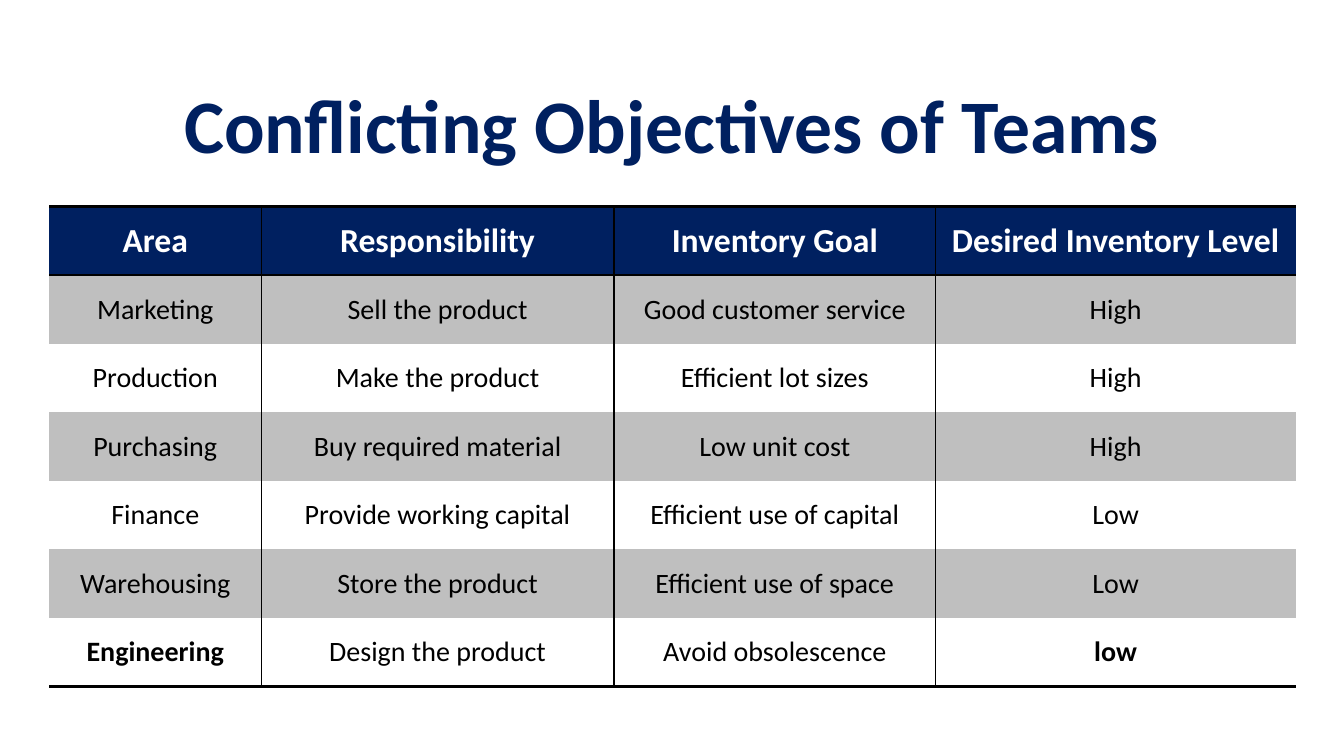
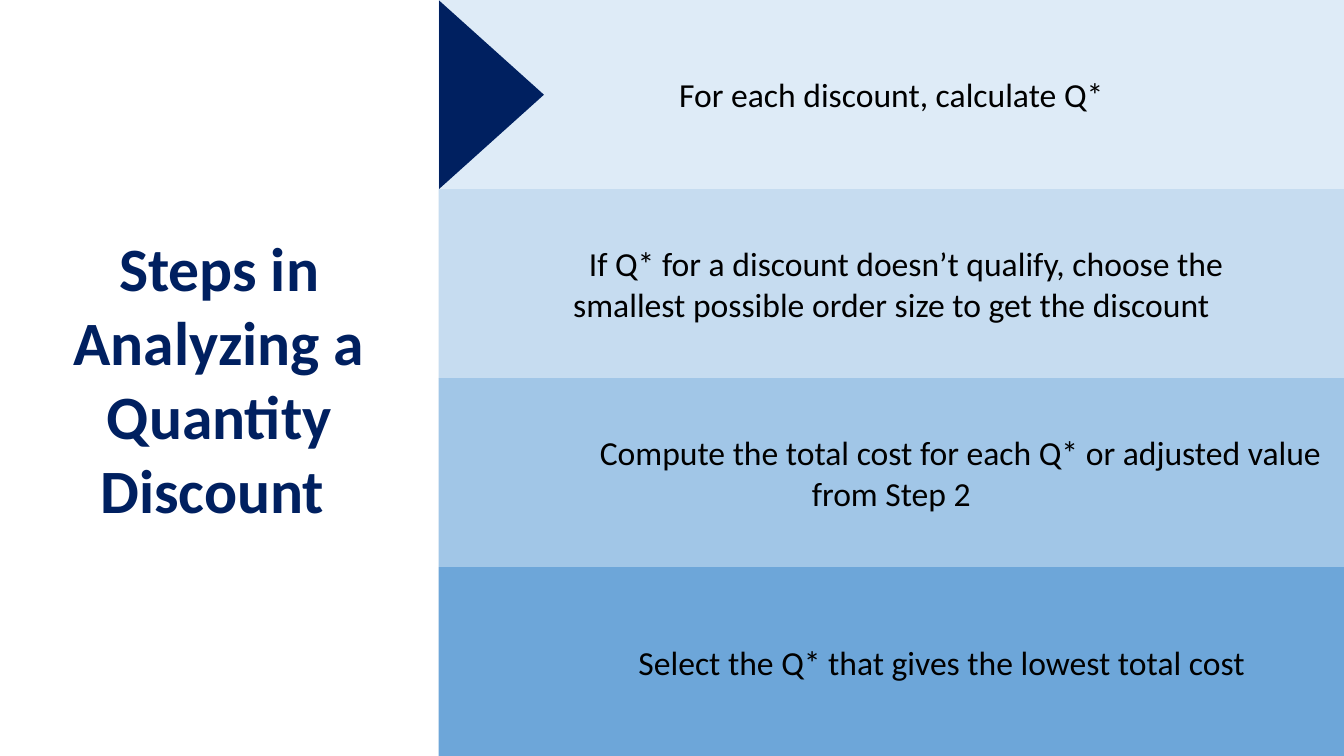
"""Build two slides: conflicting team objectives and quantity discount steps."""
from lxml.etree import SubElement
from pptx import Presentation
from pptx.dml.color import RGBColor
from pptx.enum.shapes import MSO_SHAPE as Shape
from pptx.enum.text import MSO_ANCHOR as Anchor, PP_ALIGN as Align
from pptx.oxml.ns import qn
from pptx.util import Inches, Pt

NAVY = RGBColor(0x00, 0x20, 0x60)
WHITE = RGBColor(0xFF, 0xFF, 0xFF)
BLACK = RGBColor(0x00, 0x00, 0x00)
GREY = RGBColor(0xBF, 0xBF, 0xBF)
PALE_BLUE = RGBColor(0xDE, 0xEB, 0xF7)
LIGHT_BLUE = RGBColor(0xC6, 0xDC, 0xF0)
MID_BLUE = RGBColor(0xA1, 0xC6, 0xE7)
STRONG_BLUE = RGBColor(0x6D, 0xA6, 0xD9)
FONT = "Calibri"
TITLE_STYLE = {"color": NAVY, "bold": True}


def write(frame, text, size=24, color=BLACK, bold=False, indent=0):
    frame.word_wrap = True
    para = frame.paragraphs[0]
    para.alignment = Align.CENTER
    if indent:
        properties = para._p.get_or_add_pPr()
        properties.set("marL", "0")
        properties.set("indent", str(Inches(indent)))
    span = para.add_run()
    span.text = text
    span.font.name = FONT
    span.font.size = Pt(size)
    span.font.bold = bold
    span.font.color.rgb = color


def add_block(page, kind, left, top, width, height, fill):
    block = page.shapes.add_shape(kind, Inches(left), Inches(top), Inches(width), Inches(height))
    block.shadow.inherit = False
    block.fill.solid()
    block.fill.fore_color.rgb = fill
    block.line.fill.background()
    block.text_frame.vertical_anchor = Anchor.MIDDLE
    return block


deck = Presentation()
deck.slide_width = Inches(13.33)
deck.slide_height = Inches(7.5)
blank = deck.slide_layouts[6]

page = deck.slides.add_slide(blank)
rows = [
    ("Area", "Responsibility", "Inventory Goal", "Desired Inventory Level"),
    ("Marketing", "Sell the product", "Good customer service", "High"),
    ("Production", "Make the product", "Efficient lot sizes", "High"),
    ("Purchasing", "Buy required material", "Low unit cost", "High"),
    ("Finance", "Provide working capital", "Efficient use of capital", "Low"),
    ("Warehousing", "Store the product", "Efficient use of space", "Low"),
    ("Engineering", "Design the product", "Avoid obsolescence", "low"),
]
widths = [2.1, 3.5, 3.19, 3.57]
row_height = 0.68
last_row, last_column = len(rows) - 1, len(widths) - 1
table = page.shapes.add_table(
    len(rows), len(widths), Inches(0.49), Inches(2.05),
    Inches(sum(widths)), Inches(row_height * len(rows)),
).table
table.horz_banding = False
for column, width in zip(table.columns, widths):
    column.width = Inches(width)

for row_index, row in enumerate(rows):
    table.rows[row_index].height = Inches(row_height)
    header = row_index == 0
    for column_index, text in enumerate(row):
        cell = table.cell(row_index, column_index)
        cell.vertical_anchor = Anchor.MIDDLE
        cell.margin_left = cell.margin_right = Inches(0.07)
        cell.margin_top = cell.margin_bottom = 0
        borders = {
            "a:lnL": 1 if column_index > 0 else 0,
            "a:lnR": 1 if column_index < last_column else 0,
            "a:lnT": 2 if row_index <= 1 else 0,
            "a:lnB": 2 if row_index in (0, last_row) else 0,
        }
        for tag, points in borders.items():
            border = SubElement(cell._tc.get_or_add_tcPr(), qn(tag), w=str(Pt(points)))
            if points:
                paint = SubElement(border, qn("a:solidFill"))
                SubElement(paint, qn("a:srgbClr"), val=str(BLACK))
            else:
                SubElement(border, qn("a:noFill"))
        cell.fill.solid()
        cell.fill.fore_color.rgb = NAVY if header else GREY if row_index % 2 else WHITE
        emphasis = row_index == last_row and column_index in (0, last_column)
        write(cell.text_frame, text, size=24 if header else 20,
              color=WHITE if header else BLACK, bold=header or emphasis)

title = page.shapes.add_textbox(0, Inches(0.46), deck.slide_width, Inches(1.53))
title.text_frame.vertical_anchor = Anchor.MIDDLE
write(title.text_frame, "Conflicting Objectives of Teams", size=54, **TITLE_STYLE)

page = deck.slides.add_slide(blank)
panel_width = 4.35
panel = add_block(page, Shape.RECTANGLE, 0, 0, panel_width, 7.5, WHITE)
write(panel.text_frame, "Steps in Analyzing a Quantity Discount ", size=44, **TITLE_STYLE)

steps = [
    ("For each discount, calculate Q*", PALE_BLUE, 0, 0.1),
    ("If Q* for a discount doesn’t qualify, choose the "
     "smallest possible order size to get the discount", LIGHT_BLUE, 0.29, 1.1),
    ("Compute the total cost for each Q* or adjusted value from Step 2", MID_BLUE, 1.37, 0.1),
    ("Select the Q* that gives the lowest total cost", STRONG_BLUE, 1, 0.1),
]
band_height = 7.5 / len(steps)
for index, (text, fill, indent, margin) in enumerate(steps):
    band = add_block(page, Shape.RECTANGLE, panel_width, index * band_height,
                     13.33 - panel_width, band_height, fill)
    band.text_frame.margin_left = band.text_frame.margin_right = Inches(margin)
    write(band.text_frame, text, indent=indent)

marker = add_block(page, Shape.ISOSCELES_TRIANGLE, 3.94, 0.42, 1.87, 1.04, NAVY)
marker.rotation = 90

deck.save("out.pptx")
